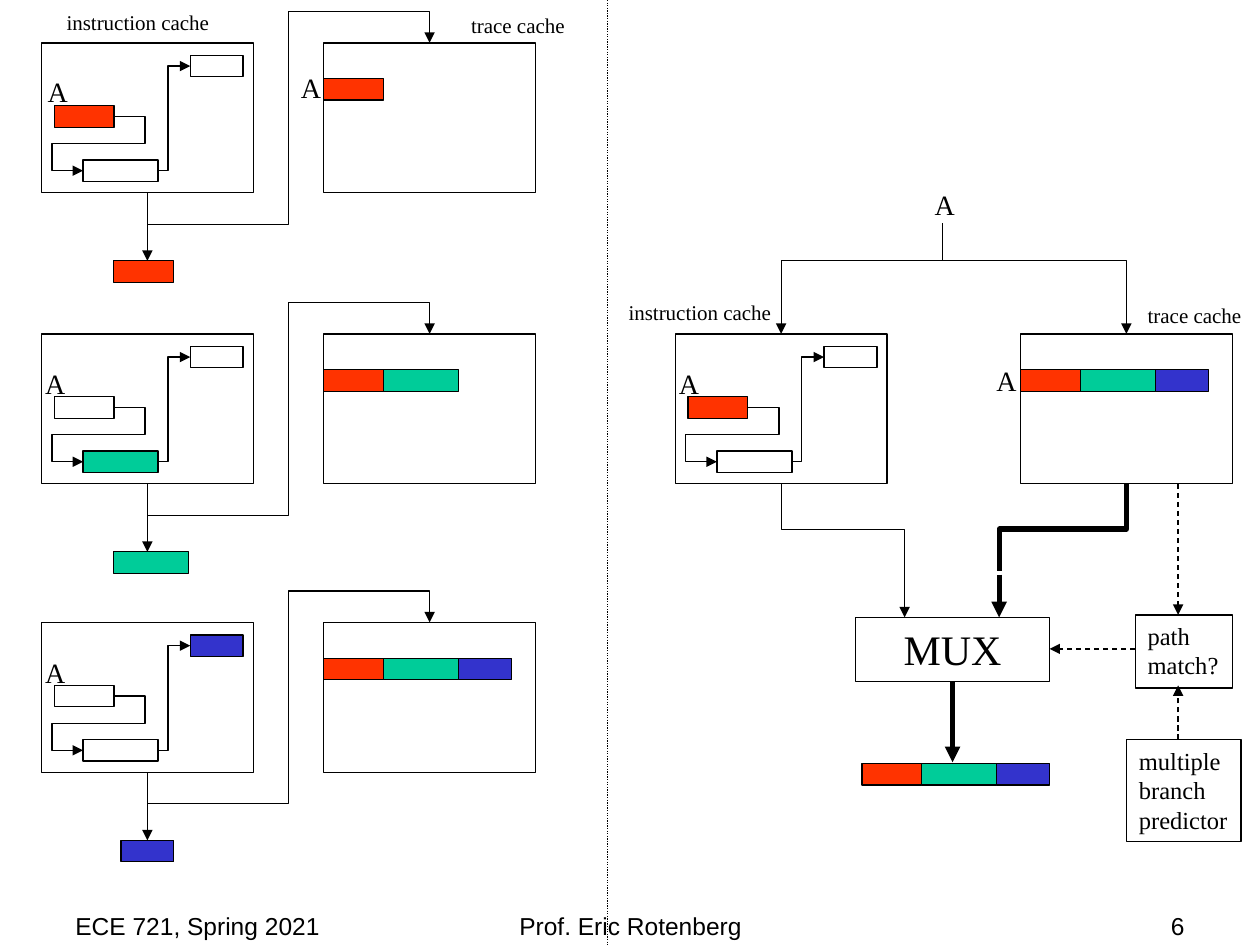
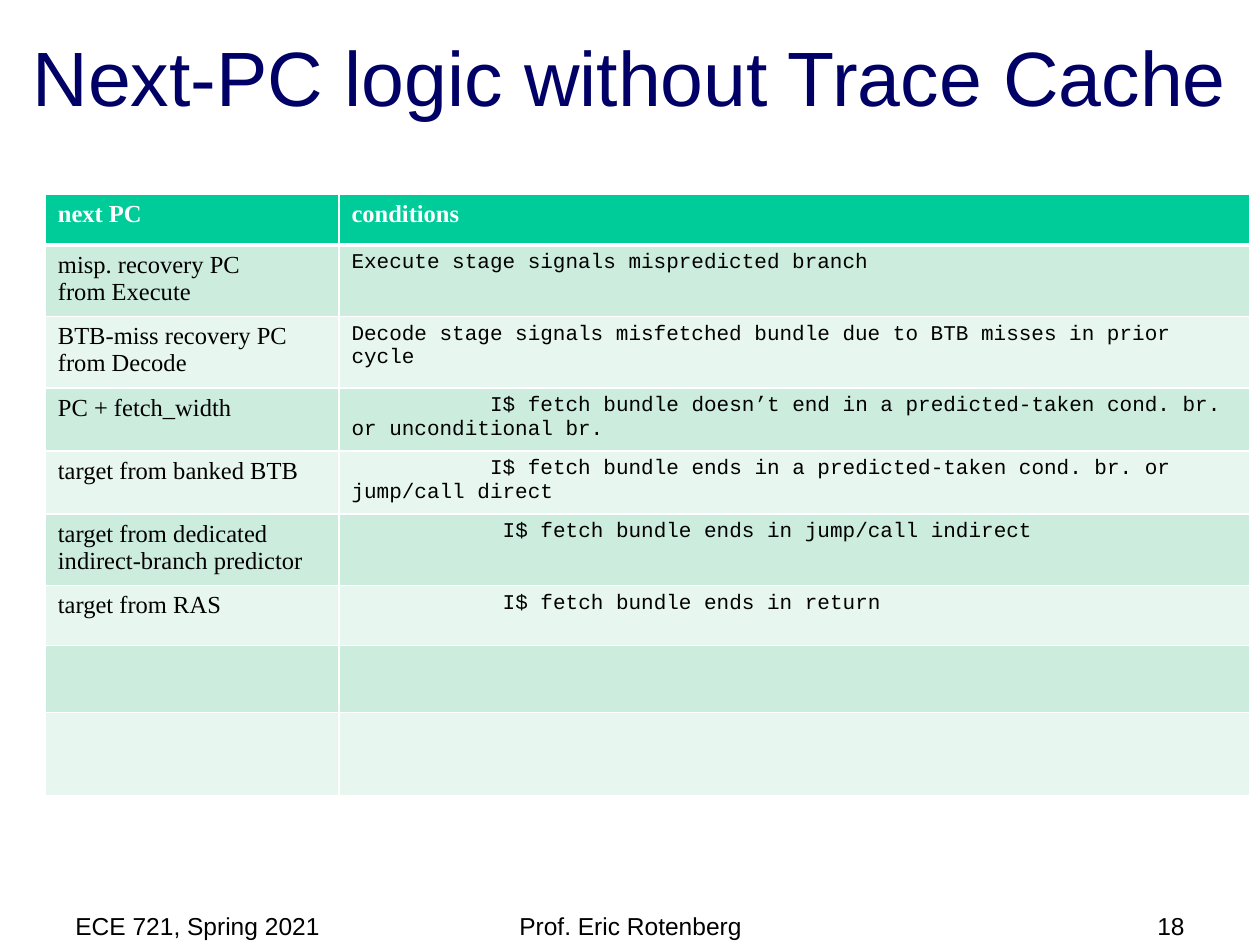
"""Builds two slides on trace caches: how one is filled and used, and next-PC logic."""
from dataclasses import dataclass
from itertools import accumulate
from typing import Any, NamedTuple, Optional

from lxml.etree import SubElement
from pptx import Presentation
from pptx.dml.color import RGBColor
from pptx.enum.dml import MSO_LINE
from pptx.enum.shapes import MSO_CONNECTOR as Connector, MSO_SHAPE as Preset
from pptx.enum.text import MSO_ANCHOR as Anchor, PP_ALIGN as Align
from pptx.oxml.ns import qn
from pptx.util import Emu, Inches, Pt

COLUMNS, ROWS = 100, 75
COLORS = {
    "ink": "000000", "paper": "FFFFFF", "title": "000066",
    "red": "FF3300", "green": "00CC99", "blue": "3333CC",
    "band_dark": "CCECDE", "band_light": "E7F6EF",
}
SERIF, SANS, MONO = "Times New Roman", "Arial", "Courier New"
TOP, LEFT, BOTTOM, RIGHT = range(4)
THIN, THICK = 0.75, 3
CACHE_WIDTH, CACHE_HEIGHT, BLOCK_HEIGHT = 16.8, 11.9, 1.7
BLOCK_WIDTHS = (4.75, 5.95, 4.2)
BLOCK_OFFSETS = ((1, 5), (3.3, 9.3), (11.8, 1))
TRACE_COLORS = ("red", "green", "blue")

deck = Presentation()
deck.slide_width, deck.slide_height = Inches(10), Inches(7.5)


class Point(NamedTuple):
    """A place in grid columns and rows."""
    column: float
    row: float


class Area(NamedTuple):
    """A rectangle in grid columns and rows."""
    left: float
    top: float
    width: float
    height: float


@dataclass
class TextStyle:
    """The look of a piece of text."""
    size: float
    font: str = SERIF
    color: str = "ink"
    bold: bool = False
    align: Any = Align.LEFT
    anchor: Any = Anchor.TOP
    wrap: bool = False


@dataclass
class Joint:
    """A connection site on a shape."""
    shape: Any
    site: int

    def point(self) -> Point:
        """Return the place of the site on the grid."""
        across, down = {TOP: (0.5, 0), LEFT: (0, 0.5), BOTTOM: (0.5, 1), RIGHT: (1, 0.5)}[self.site]
        return Point((self.shape.left + across * self.shape.width) * COLUMNS / deck.slide_width,
                     (self.shape.top + down * self.shape.height) * ROWS / deck.slide_height)


@dataclass
class Stage:
    """One step of filling the trace cache."""
    top: float
    fetched: int
    output_left: float
    label: Point = Point(-0.7, 2.1)


class TableRow(NamedTuple):
    """One row of the next-PC table."""
    height: float
    target: str = ""
    condition: str = ""
    indent: float = 0


LETTER, CAPTION = TextStyle(16), TextStyle(12)
BOXED = TextStyle(14)
STAGES = (Stage(3.4, 0, 9, Point(-0.5, 2)), Stage(26.5, 1, 9), Stage(49.4, 2, 9.6))
TABLE_ROWS = (
    TableRow(4, "next PC", "conditions"),
    TableRow(5.3, "misp. recovery PC\vfrom Execute", "Execute stage signals mispredicted branch"),
    TableRow(5.3, "BTB-miss recovery PC from Decode",
             "Decode stage signals misfetched bundle due to BTB misses in prior cycle"),
    TableRow(4.77, "PC + fetch_width", "I$ fetch bundle doesn’t end in a predicted-taken cond. br. "
             "or unconditional br.", 11),
    TableRow(4.77, "target from banked BTB",
             "I$ fetch bundle ends in a predicted-taken cond. br. or jump/call direct", 11),
    TableRow(5.3, "target from dedicated indirect-branch predictor",
             "I$ fetch bundle ends in jump/call indirect", 12),
    TableRow(4.77, "target from RAS", "I$ fetch bundle ends in return", 12),
    TableRow(5.3), TableRow(6.6),
)


def across(columns: float) -> Emu:
    """Turn grid columns into a length."""
    return Emu(round(columns * deck.slide_width / COLUMNS))


def down(rows: float) -> Emu:
    """Turn grid rows into a length."""
    return Emu(round(rows * deck.slide_height / ROWS))


def frame(area: Area) -> tuple:
    """Turn a grid area into lengths."""
    return across(area.left), down(area.top), across(area.width), down(area.height)


def color(name: str) -> RGBColor:
    """Look up a colour."""
    return RGBColor.from_string(COLORS[name])


def assign(target: Any, values: dict) -> None:
    """Set each named attribute of the target."""
    for name, value in values.items():
        setattr(target, name, value)


def paint(target: Any, name: str) -> None:
    """Give a cell, shape or line a solid colour."""
    target.fill.solid()
    target.fill.fore_color.rgb = color(name)


def write(body: Any, text: str, style: TextStyle) -> None:
    """Write text into a text frame, one paragraph a line."""
    assign(body, {"word_wrap": style.wrap, "vertical_anchor": style.anchor})
    for number, words in enumerate(text.split("\n")):
        para = body.add_paragraph() if number else body.paragraphs[0]
        assign(para, {"text": words, "alignment": style.align})
        for span in para.runs:
            assign(span.font, {"name": style.font, "size": Pt(style.size), "bold": style.bold})
            span.font.color.rgb = color(style.color)


def label(page: Any, area: Area, text: str, style: TextStyle) -> None:
    """Add a text box."""
    write(page.shapes.add_textbox(*frame(area)).text_frame, text, style)


def letter(page: Any, column: float, row: float) -> None:
    """Add the address label A."""
    label(page, Area(column, row, 3.6, 3.7), "A", LETTER)


def captions(page: Any, left: float, right: float, top: float) -> None:
    """Name the two caches."""
    label(page, Area(left, top, 13.4, 3), "instruction cache", CAPTION)
    label(page, Area(right, top + 0.2, 9.5, 3), "trace cache", CAPTION)


def box(page: Any, area: Area, fill: Optional[str] = None, text: str = "",
        style: TextStyle = BOXED) -> Any:
    """Add an outlined rectangle."""
    shape = page.shapes.add_shape(Preset.RECTANGLE, *frame(area))
    shape.shadow.inherit = False
    if fill:
        paint(shape, fill)
    else:
        shape.fill.background()
    paint(shape.line, "ink")
    shape.line.width = Pt(THIN)
    if text:
        write(shape.text_frame, text, style)
    return shape


def finish(line: Any, weight: float, arrow: bool, dash: Any = None) -> None:
    """Set the stroke and arrowhead of a connector."""
    paint(line.line, "ink")
    assign(line.line, {"width": Pt(weight), "dash_style": dash})
    properties = line.element.spPr
    if arrow:
        SubElement(properties.find(qn("a:ln")), qn("a:tailEnd"), type="triangle")
    SubElement(properties, qn("a:effectLst"))


def straight(page: Any, start: Point, end: Point, weight: float = THIN,
             arrow: bool = True, dash: Any = None) -> None:
    """Add a straight line."""
    line = page.shapes.add_connector(Connector.STRAIGHT, across(start.column), down(start.row),
                                     across(end.column), down(end.row))
    finish(line, weight, arrow, dash)


def elbow(page: Any, start: Any, end: Any, bends: tuple = (), vertical: bool = False,
          weight: float = THIN, arrow: bool = True) -> None:
    """Add a bent connector between joints or points, leaving vertically if asked."""
    line = page.shapes.add_connector(Connector.ELBOW, 0, 0, 0, 0)
    ends = []
    for place, connect in ((start, line.begin_connect), (end, line.end_connect)):
        if isinstance(place, Joint):
            connect(place.shape, place.site)
            place = place.point()
        ends.append(place)
    first, last = ends
    run, rise = last.column - first.column, last.row - first.row
    width, height = (abs(rise), abs(run)) if vertical else (abs(run), abs(rise))
    middle = Point((first.column + last.column) / 2, (first.row + last.row) / 2)
    left, top, wide, high = frame(Area(middle.column - width / 2, middle.row - height / 2,
                                       width, height))
    assign(line, {"left": left, "top": top, "width": wide, "height": high})
    flips = (rise < 0, run > 0) if vertical else (run < 0, rise < 0)
    transform = line.element.spPr.find(qn("a:xfrm"))
    for name, value in zip(("flipH", "flipV"), flips):
        transform.set(name, str(int(value)))
    transform.set("rot", str(5400000 if vertical else 0))
    geometry = line.element.spPr.find(qn("a:prstGeom"))
    geometry.set("prst", f"bentConnector{len(bends) + 2}")
    guides = geometry.find(qn("a:avLst"))
    for number, bend in enumerate(bends, 1):
        name = f"adj{number}" if len(bends) > 1 else "adj1"
        SubElement(guides, qn("a:gd"), name=name, fmla=f"val {round(bend * 100000)}")
    finish(line, weight, arrow)


def instruction_cache(page: Any, left: float, top: float, fetched: int) -> Any:
    """Draw a cache with three chained blocks, the fetched one coloured."""
    cache = box(page, Area(left, top, CACHE_WIDTH, CACHE_HEIGHT))
    blocks = [box(page, Area(left + x, top + y, width, BLOCK_HEIGHT),
                  TRACE_COLORS[number] if number == fetched else None)
              for number, ((x, y), width) in enumerate(zip(BLOCK_OFFSETS, BLOCK_WIDTHS))]
    elbow(page, Joint(blocks[0], RIGHT), Joint(blocks[1], LEFT), (-1.01, 0.5, 2.01))
    elbow(page, Joint(blocks[1], RIGHT), Joint(blocks[2], LEFT), (0.31,))
    return cache


def trace(page: Any, left: float, top: float, count: int = 3) -> None:
    """Draw the first blocks of a trace side by side."""
    starts = accumulate(BLOCK_WIDTHS, initial=left)
    for start, width, fill in list(zip(starts, BLOCK_WIDTHS, TRACE_COLORS))[:count]:
        box(page, Area(start, top, width, BLOCK_HEIGHT), fill)


def trace_cache(page: Any, left: float, top: float, count: int) -> Any:
    """Draw a trace cache holding the first blocks of a trace."""
    trace(page, left, top + 2.85, count)
    return box(page, Area(left, top, CACHE_WIDTH, CACHE_HEIGHT))


def fill_stage(page: Any, stage: Stage) -> None:
    """Draw one step of filling the trace cache."""
    source = instruction_cache(page, 3.3, stage.top, stage.fetched)
    target = trace_cache(page, 25.7, stage.top, stage.fetched + 1)
    letter(page, 3.3 + stage.label.column, stage.top + stage.label.row)
    elbow(page, Joint(source, BOTTOM), Joint(target, TOP), (-0.21, 0.5, 1.21), vertical=True)
    output = stage.top + 17.3
    straight(page, Point(11.7, output - 3), Point(11.7, output))
    box(page, Area(stage.output_left, output, BLOCK_WIDTHS[stage.fetched], BLOCK_HEIGHT),
        TRACE_COLORS[stage.fetched])


def lookup(page: Any) -> None:
    """Draw the parallel lookup of both caches."""
    fork = Point(74.8, 20.7)
    source = instruction_cache(page, 53.6, 26.5, 0)
    target = trace_cache(page, 81, 26.5, 3)
    for column, row in ((52.9, 28.6), (73.2, 14.4), (78.1, 28.4)):
        letter(page, column, row)
    for cache in (source, target):
        elbow(page, fork, Joint(cache, TOP))
    straight(page, fork, Point(74.8, 17.7), arrow=False)
    box(page, Area(67.9, 49, 15.4, 5.1), text="MUX",
        style=TextStyle(24, align=Align.CENTER, wrap=True))
    box(page, Area(89.4, 58.7, 9.1, 8.1), text="multiple\nbranch\npredictor")
    box(page, Area(90.1, 48.8, 7.7, 5.8), text="path\nmatch?")
    elbow(page, Joint(source, BOTTOM), Point(71.8, 45.6), (0.5,), True, arrow=False)
    elbow(page, Joint(target, BOTTOM), Point(79.3, 45.3), (0.52,), True, THICK, False)
    straight(page, Point(71.8, 45.6), Point(71.8, 49))
    straight(page, Point(79.3, 45.6), Point(79.3, 49), THICK)
    straight(page, Point(75.6, 54.1), Point(75.6, 60.5), THICK)
    for start, end in ((Point(93.5, 38.4), Point(93.5, 48.8)),
                       (Point(93.5, 58.7), Point(93.5, 54.4)),
                       (Point(90.1, 51.5), Point(83.3, 51.5))):
        straight(page, start, end, dash=MSO_LINE.DASH)
    trace(page, 68.4, 60.6)


def cell_borders(cell: Any, header: bool) -> None:
    """Rule a cell in white, heavier below the header."""
    properties = cell._tc.get_or_add_tcPr()
    for number, side in enumerate(("lnL", "lnR", "lnT", "lnB")):
        weight = 3 if header and side == "lnB" else 1
        edge = properties.makeelement(qn(f"a:{side}"), {"w": str(Pt(weight))})
        SubElement(SubElement(edge, qn("a:solidFill")), qn("a:srgbClr"), val=COLORS["paper"])
        properties.insert(number, edge)


def conditions_table(page: Any) -> None:
    """Add the table of next-PC choices."""
    total = sum(row.height for row in TABLE_ROWS)
    table = page.shapes.add_table(len(TABLE_ROWS), 2, *frame(Area(3.6, 15.45, 95.6, total))).table
    for column, width in zip(table.columns, (23.3, 72.3)):
        column.width = across(width)
    for number, row in enumerate(TABLE_ROWS):
        table.rows[number].height = down(row.height)
        header = number == 0
        fill = "green" if header else ("band_light", "band_dark")[number % 2]
        body = TextStyle(14, color="paper" if header else "ink", bold=header, wrap=True)
        styles = (body, body if header else TextStyle(12, MONO, wrap=True))
        for cell, text, style in zip(table.rows[number].cells, (row.target, row.condition), styles):
            paint(cell, fill)
            cell_borders(cell, header)
            write(cell.text_frame, text, style)
        if row.indent:
            para = table.cell(number, 1).text_frame.paragraphs[0]
            para._p.get_or_add_pPr().set("indent", str(across(row.indent)))


def new_page(number: int) -> Any:
    """Add a blank slide with its footer."""
    page = deck.slides.add_slide(deck.slide_layouts[6])
    for left, width, text, align in ((5, 23.3, "ECE 721, Spring 2021", Align.LEFT),
                                     (34.2, 31.7, "Prof. Eric Rotenberg", Align.CENTER),
                                     (71.7, 23.3, str(number), Align.RIGHT)):
        label(page, Area(left, 71.5, width, 4), text,
              TextStyle(14, SANS, align=align, anchor=Anchor.MIDDLE, wrap=True))
    return page


diagram = new_page(6)
for step in STAGES:
    fill_stage(diagram, step)
letter(diagram, 22.9, 5.1)
lookup(diagram)
straight(diagram, Point(48.2, 0), Point(48.2, ROWS), arrow=False, dash=MSO_LINE.ROUND_DOT)
captions(diagram, 4.3, 36.4, 0.3)
captions(diagram, 48.9, 90.1, 23.3)

logic = new_page(18)
label(logic, Area(0, 1.8, COLUMNS, 8.4), "Next-PC logic without Trace Cache",
      TextStyle(44, SANS, "title", align=Align.CENTER, anchor=Anchor.BOTTOM, wrap=True))
conditions_table(logic)
deck.save("out.pptx")
